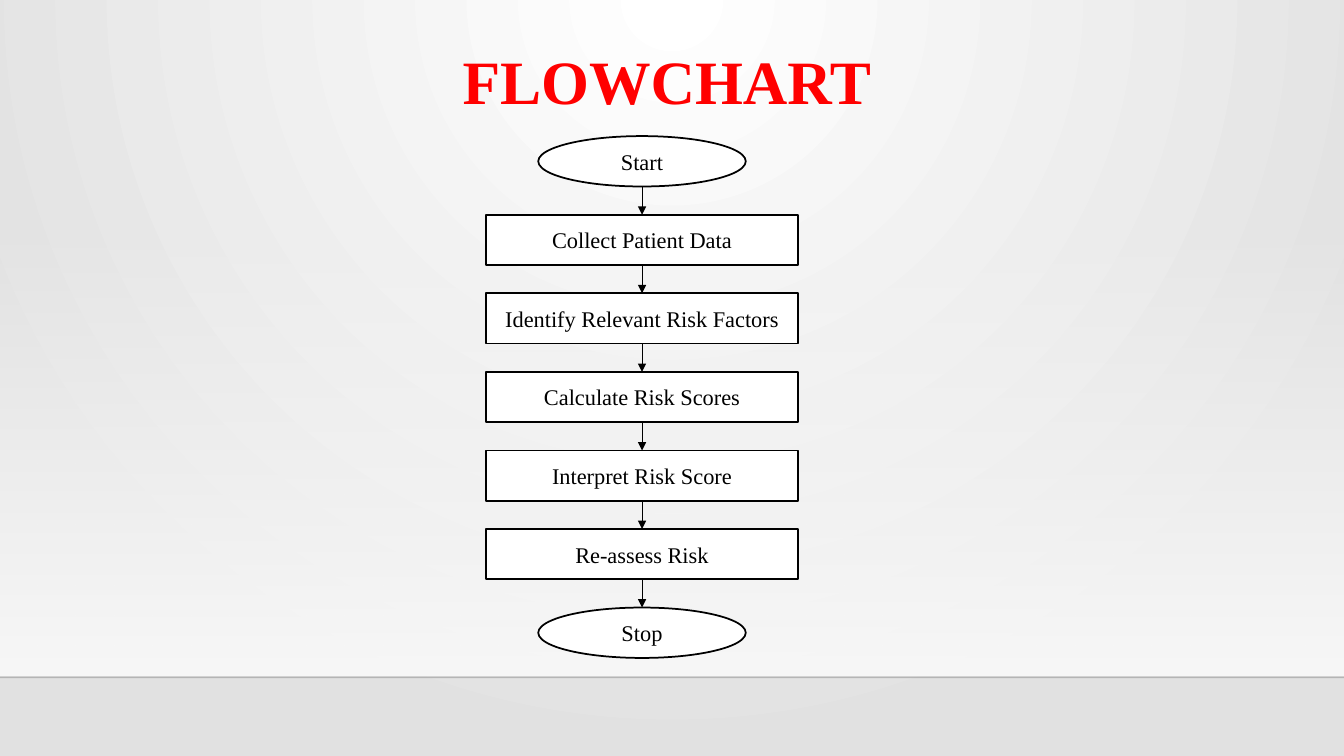
from dataclasses import dataclass
from itertools import pairwise

from lxml.etree import SubElement
from pptx import Presentation
from pptx.dml.color import RGBColor as RGB
from pptx.enum.shapes import MSO_CONNECTOR as CONNECTOR, MSO_SHAPE as SHAPE
from pptx.enum.text import MSO_ANCHOR as ANCHOR, PP_ALIGN as ALIGN
from pptx.oxml.ns import qn
from pptx.util import Cm, Pt

TITLE = "FLOWCHART"
STEPS = [
    ("Start", SHAPE.OVAL),
    ("Collect Patient Data", SHAPE.RECTANGLE),
    ("Identify Relevant Risk Factors", SHAPE.RECTANGLE),
    ("Calculate Risk Scores", SHAPE.RECTANGLE),
    ("Interpret Risk Score", SHAPE.RECTANGLE),
    ("Re-assess Risk", SHAPE.RECTANGLE),
    ("Stop", SHAPE.OVAL),
]


@dataclass(frozen=True)
class Theme:
    font: str = "Times New Roman"
    title_size: Pt = Pt(44)
    step_size: Pt = Pt(16)
    outline: Pt = Pt(1.25)
    arrow: Pt = Pt(0.75)
    horizon: Pt = Pt(1)
    title: RGB = RGB(0xFF, 0, 0)
    ink: RGB = RGB(0, 0, 0)
    paper: RGB = RGB(0xFF, 0xFF, 0xFF)
    edge: RGB = RGB(0xE1, 0xE1, 0xE1)
    haze: RGB = RGB(0xF8, 0xF8, 0xF8)


THEME = Theme()
SLIDE_WIDTH, SLIDE_HEIGHT = Cm(33.87), Cm(19.05)
HORIZON_Y = Cm(17.07)
CENTRE_X, FIRST_TOP = Cm(16.18), Cm(3.43)
STEP_HEIGHT, STEP_PITCH = Cm(1.27), Cm(1.98)
STEP_WIDTHS = {SHAPE.OVAL: Cm(5.23), SHAPE.RECTANGLE: Cm(7.87)}


def set_gradient(fill, holder, start, end):
    """Give fill two colours and return its XML, ready for a direction."""
    fill.gradient()
    for stop, colour in zip(fill.gradient_stops, (start, end)):
        stop.color.rgb = colour
    gradient = holder.xpath(".//a:gradFill")[0]
    gradient.remove(gradient.find(qn("a:lin")))
    return gradient


def set_alpha(colour_element, percent):
    SubElement(colour_element, qn("a:alpha"), val=str(percent * 1000))


def add_text(frame, text, size, colour, bold=False):
    paragraph = frame.paragraphs[0]
    paragraph.alignment = ALIGN.CENTER
    run = paragraph.add_run()
    run.text = text
    run.font.name, run.font.size, run.font.bold = THEME.font, size, bold
    run.font.color.rgb = colour
    return paragraph


def add_line(slide, start, end, width):
    line = slide.shapes.add_connector(CONNECTOR.STRAIGHT, *start, *end)
    line.line.width = width
    line.line.color.rgb = THEME.ink
    SubElement(line.element.spPr, qn("a:effectLst"))
    return line


def add_backdrop(slide):
    glow = set_gradient(slide.background.fill, slide.element, THEME.paper, THEME.edge)
    circle = SubElement(glow, qn("a:path"), path="circle")
    SubElement(circle, qn("a:fillToRect"), l="43000", t="0", r="43000", b="100000")

    haze = slide.shapes.add_shape(SHAPE.RECTANGLE, 0, Cm(5.59), SLIDE_WIDTH, Cm(11.43))
    haze.shadow.inherit = False
    haze.line.fill.background()
    fade = set_gradient(haze.fill, haze.element, THEME.haze, THEME.haze)
    SubElement(fade, qn("a:lin"), ang="5400000", scaled="0")
    set_alpha(fade.xpath(".//a:srgbClr")[0], 0)

    horizon = add_line(slide, (0, HORIZON_Y), (SLIDE_WIDTH, HORIZON_Y), THEME.horizon)
    set_alpha(horizon.element.xpath(".//a:ln//a:srgbClr")[0], 20)


def add_title(slide):
    title = slide.shapes.title
    slide.shapes.element.append(title.element)  # in front of the backdrop
    title.left, title.top, title.width, title.height = Cm(2.84), Cm(0.33), Cm(27.94), Cm(2.77)
    title.text_frame.vertical_anchor = ANCHOR.BOTTOM
    paragraph = add_text(title.text_frame, TITLE, THEME.title_size, THEME.title, bold=True)
    paragraph.line_spacing = 0.9


def add_step(slide, index, text, kind):
    width = STEP_WIDTHS[kind]
    top = FIRST_TOP + index * STEP_PITCH
    step = slide.shapes.add_shape(kind, CENTRE_X - width // 2, top, width, STEP_HEIGHT)
    step.shadow.inherit = False
    step.fill.solid()
    step.fill.fore_color.rgb = THEME.paper
    step.line.color.rgb = THEME.ink
    step.line.width = THEME.outline
    step.text_frame.vertical_anchor = ANCHOR.MIDDLE
    add_text(step.text_frame, text, THEME.step_size, THEME.ink)
    return step


def add_arrow(slide, upper, lower):
    start, end = (CENTRE_X, upper.top + upper.height), (CENTRE_X, lower.top)
    arrow = add_line(slide, start, end, THEME.arrow)
    SubElement(arrow.line._get_or_add_ln(), qn("a:tailEnd"), type="triangle")
    if upper.auto_shape_type == SHAPE.RECTANGLE:
        arrow.begin_connect(upper, 2)
    arrow.end_connect(lower, 0)


def main():
    presentation = Presentation()
    presentation.slide_width, presentation.slide_height = SLIDE_WIDTH, SLIDE_HEIGHT
    slide = presentation.slides.add_slide(presentation.slide_layouts[5])
    add_backdrop(slide)
    add_title(slide)
    steps = [add_step(slide, index, *step) for index, step in enumerate(STEPS)]
    for upper, lower in pairwise(steps):
        add_arrow(slide, upper, lower)
    presentation.save("out.pptx")


if __name__ == "__main__":
    main()
